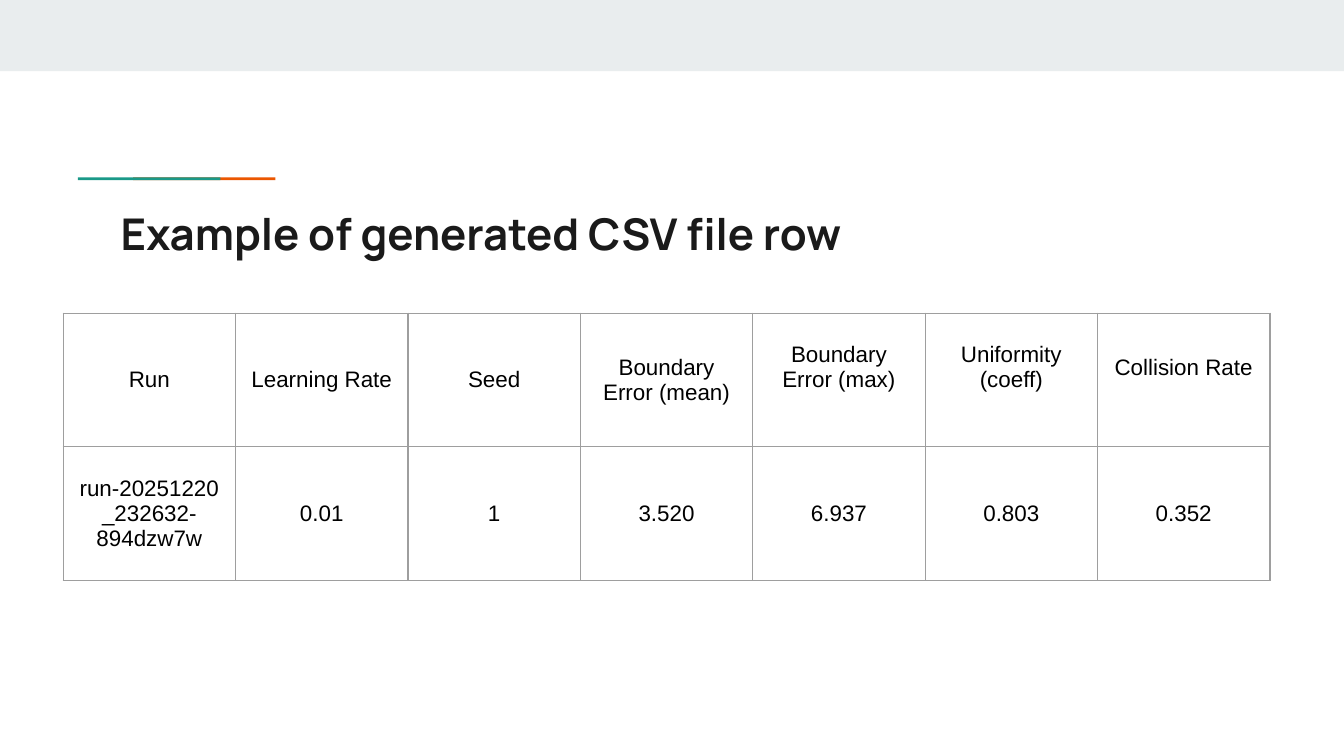
from dataclasses import dataclass

from lxml import etree
from pptx import Presentation
from pptx.dml.color import RGBColor
from pptx.enum.shapes import MSO_SHAPE as Shape
from pptx.enum.text import MSO_ANCHOR as Anchor, PP_ALIGN as Align
from pptx.oxml.ns import qn
from pptx.util import Inches, Pt


@dataclass
class Bar:
    left: float
    top: float
    width: float
    height: float
    color: str


@dataclass
class Column:
    header: str
    value: str
    raised: bool = False  # header sits half a line above the middle


BARS = [
    Bar(0, 0, 10, 0.53, "E9EDEE"),
    Bar(0.99, 1.32, 1.06, 0.02, "EB5600"),
    Bar(0.58, 1.32, 1.06, 0.02, "1A9988"),
]
COLUMNS = [
    Column("Run", "run-20251220_232632-894dzw7w"),
    Column("Learning Rate", "0.01"),
    Column("Seed", "1"),
    Column("Boundary Error (mean)", "3.520"),
    Column("Boundary Error (max)", "6.937", True),
    Column("Uniformity (coeff)", "0.803", True),
    Column("Collision Rate", "0.352", True),
]
TABLE_WIDTH, TABLE_HEIGHT = 8.98, 1.99
INSET, LINE_HEIGHT = 0.1, 0.19
TITLE_FONT = dict(name="Manrope", size=Pt(23.4), bold=True)
CELL_FONT = dict(name="Arial", size=Pt(12), bold=False)


def rgb(color: str) -> RGBColor:
    return RGBColor.from_string(color)


def set_margins(target, bottom: float = INSET) -> None:
    for side in ("left", "right", "top"):
        setattr(target, f"margin_{side}", Inches(INSET))
    target.margin_bottom = Inches(bottom)


def write(tf, text: str, font: dict, color: str, align: Align) -> None:
    p = tf.paragraphs[0]
    p.alignment = align
    r = p.add_run()
    r.text = text
    for name, value in font.items():
        setattr(r.font, name, value)
    r.font.color.rgb = rgb(color)


def draw_bar(s, bar: Bar) -> None:
    sp = s.shapes.add_shape(Shape.RECTANGLE, Inches(bar.left), Inches(bar.top),
                            Inches(bar.width), Inches(bar.height))
    sp.shadow.inherit = False
    sp.fill.solid()
    sp.fill.fore_color.rgb = rgb(bar.color)
    sp.line.fill.background()


def set_borders(cell, color: str, width: float) -> None:
    tc_pr = cell._tc.get_or_add_tcPr()
    for i, side in enumerate(("lnL", "lnR", "lnT", "lnB")):
        ln = etree.Element(qn(f"a:{side}"), w=str(Pt(width)))
        fill = etree.SubElement(ln, qn("a:solidFill"))
        etree.SubElement(fill, qn("a:srgbClr"), val=color)
        tc_pr.insert(i, ln)


def draw_cell(cell, text: str, raised: bool = False) -> None:
    cell.fill.background()
    cell.vertical_anchor = Anchor.MIDDLE
    set_margins(cell, INSET + LINE_HEIGHT if raised else INSET)
    write(cell.text_frame, text, CELL_FONT, "000000", Align.CENTER)
    set_borders(cell, "9E9E9E", 0.75)


def draw_table(s, columns: list[Column]) -> None:
    # Rows and columns share the table size equally
    table = s.shapes.add_table(2, len(columns), Inches(0.47), Inches(2.33),
                               Inches(TABLE_WIDTH), Inches(TABLE_HEIGHT)).table
    table.first_row = table.horz_banding = False
    for i, column in enumerate(columns):
        draw_cell(table.cell(0, i), column.header, column.raised)
        draw_cell(table.cell(1, i), column.value)


def main() -> None:
    prs = Presentation()
    # Widescreen, 16:9
    prs.slide_width = Inches(10)
    prs.slide_height = Inches(10 * 9 / 16)
    s = prs.slides.add_slide(prs.slide_layouts[6])

    # Top band and accent line
    for bar in BARS:
        draw_bar(s, bar)

    # Title
    tf = s.shapes.add_textbox(Inches(0.8), Inches(1.44),
                              Inches(8.41), Inches(0.59)).text_frame
    tf.word_wrap = True
    set_margins(tf)
    write(tf, "Example of generated CSV file row", TITLE_FONT, "1A1A1A", Align.LEFT)

    # Result table
    draw_table(s, COLUMNS)
    prs.save("out.pptx")


if __name__ == "__main__":
    main()
